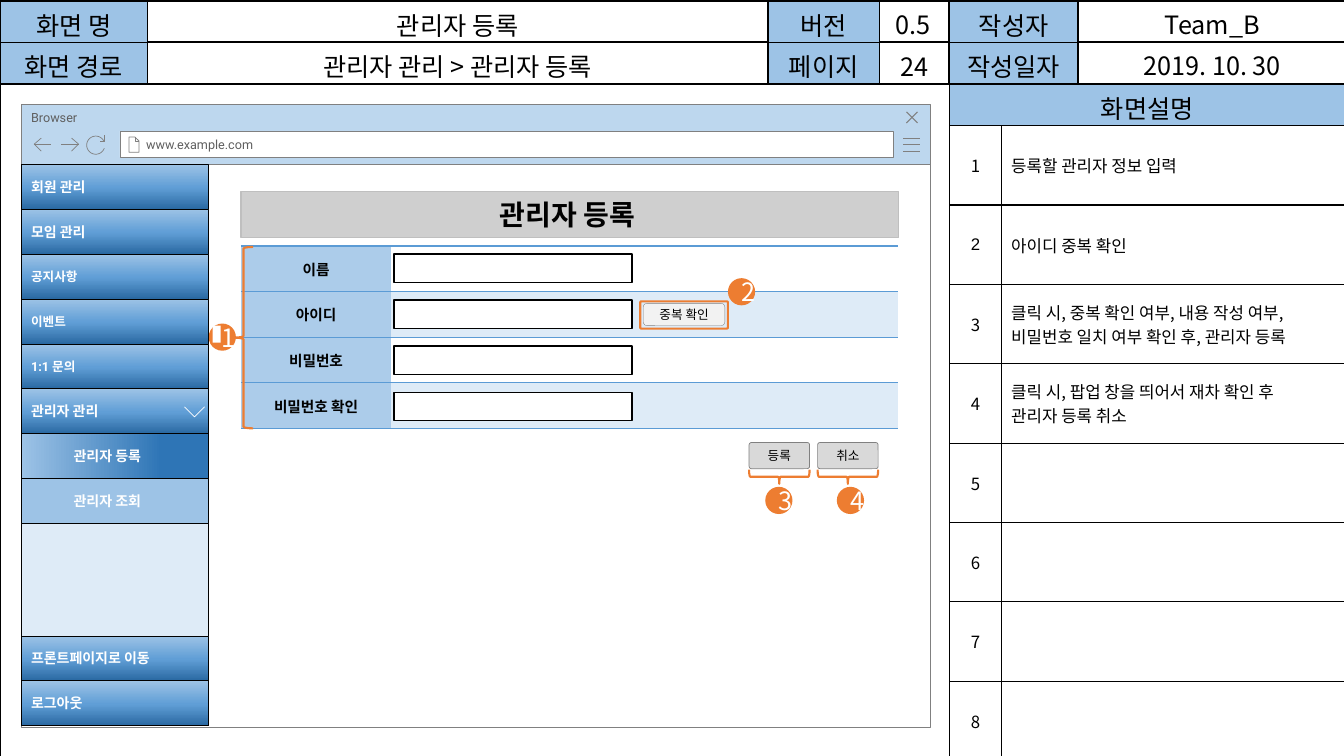
from dataclasses import dataclass
from math import cos, radians, sin

from lxml.etree import SubElement
from pptx import Presentation
from pptx.dml.color import RGBColor
from pptx.enum.shapes import MSO_SHAPE as SHAPE
from pptx.enum.text import MSO_ANCHOR as ANCHOR, PP_ALIGN as ALIGN
from pptx.oxml.ns import qn
from pptx.util import Inches, Pt


@dataclass(frozen=True)
class Theme:
    black: str = "000000"
    white: str = "FFFFFF"
    header: str = "9DC3E6"
    chrome: str = "BDD7EE"
    pale: str = "DEEBF7"
    label: str = "ACCCEA"
    rule: str = "5B9BD5"
    gray: str = "808080"
    chrome_text: str = "5F5F5F"
    banner: str = "CFCFCF"
    banner_line: str = "BFBFBF"
    button: str = "D9D9D9"
    check: str = "F2F2F2"
    accent: str = "ED7D31"
    menu: tuple = ((0, "2A69A2"), (48, "609ED6"), (100, "9DC3E6"))
    selected: tuple = ((0, "2E75B6"), (25, "2E75B6"), (100, "9DC3E6"))
    korean: str = "Noto Sans CJK KR"
    ui: str = "Roboto"
    plain: str = "Arial"
    title: float = 20
    head: float = 18
    body: float = 12
    field: float = 10.5
    item: float = 10
    small: float = 9


T = Theme()


def write(tf, text, size, font=T.korean, color=T.black, bold=False, align=ALIGN.CENTER):
    for i, line in enumerate(text.split("\n")):
        p = tf.add_paragraph() if i else tf.paragraphs[0]
        p.alignment = align
        r = p.add_run()
        r.text = line
        r.font.size, r.font.bold = Pt(size), bold
        r.font.color.rgb = RGBColor.from_string(color)
        r.font.name = font
        SubElement(r.font._element, qn("a:ea"), typeface=T.korean)


def paint(sp, fill, line, width):
    sp.shadow.inherit = False
    if fill:
        sp.fill.solid()
        sp.fill.fore_color.rgb = RGBColor.from_string(fill)
    else:
        sp.fill.background()
    if line:
        sp.line.color.rgb = RGBColor.from_string(line)
        sp.line.width = Pt(width)
    else:
        sp.line.fill.background()


def add_box(slide, x, y, w, h, fill=None, line=None, width=0.5, kind=SHAPE.RECTANGLE, adj=None):
    sp = slide.shapes.add_shape(kind, Inches(x), Inches(y), Inches(w), Inches(h))
    paint(sp, fill, line, width)
    if adj is not None:
        sp.adjustments[0] = adj
    return sp


def label(sp, text, size, left=0.1, right=0.1, anchor=ANCHOR.MIDDLE, **style):
    tf = sp.text_frame
    tf.word_wrap, tf.vertical_anchor = True, anchor
    tf.margin_left, tf.margin_right = Inches(left), Inches(right)
    write(tf, text, size, **style)


def add_strokes(slide, x, y, *strokes, color=T.gray, width=0.5):
    """Draw open polylines whose points are relative to (x, y)."""
    lines = [[(Inches(x + dx), Inches(y + dy)) for dx, dy in s] for s in strokes]
    builder = slide.shapes.build_freeform(*lines[0][0])
    for i, points in enumerate(lines):
        if i:
            builder.move_to(*points[0])
        builder.add_line_segments(points[1:], close=False)
    paint(builder.convert_to_shape(), None, color, width)


def set_gradient(sp, stops, angle):
    sp.fill.gradient()
    sp.fill.gradient_angle = angle
    stop_list = sp._element.spPr.find(qn("a:gradFill")).find(qn("a:gsLst"))
    for old in list(stop_list):
        stop_list.remove(old)
    for pos, color in stops:
        stop = SubElement(stop_list, qn("a:gs"), pos=str(pos * 1000))
        SubElement(stop, qn("a:srgbClr"), val=color)


def add_grid(slide, x, y, cols, rows, color, sides):
    """Add an unstyled table with ruled cell sides."""
    frame = slide.shapes.add_table(len(rows), len(cols), Inches(x), Inches(y),
                                   Inches(sum(cols)), Inches(sum(rows)))
    table = frame.table
    table.first_row = table.horz_banding = False
    table._tbl.tblPr.find(qn("a:tableStyleId")).text = "{2D5ABB26-0587-4C30-8999-92F81FD0307C}"
    for col, w in zip(table.columns, cols):
        col.width = Inches(w)
    for row, h in zip(table.rows, rows):
        row.height = Inches(h)
    for cell in table.iter_cells():
        cell.fill.background()
        cell.margin_top = cell.margin_bottom = 0
        cell.vertical_anchor = ANCHOR.MIDDLE
        tc_pr = cell._tc.get_or_add_tcPr()
        for side in sides:
            ln = SubElement(tc_pr, qn(f"a:ln{side}"), w=str(Pt(1)))
            SubElement(SubElement(ln, qn("a:solidFill")), qn("a:srgbClr"), val=color)
        tc_pr.append(tc_pr.find(qn("a:noFill")))
    return table


def fill_cell(cell, color):
    cell.fill.solid()
    cell.fill.fore_color.rgb = RGBColor.from_string(color)


def write_heads(table, heads):
    """Fill the top rows; even columns up to the fifth hold captions."""
    for i, texts in enumerate(heads):
        for j, text in enumerate(texts):
            cell = table.cell(i, j)
            cell.margin_top = Inches(0.05)
            if text:
                write(cell.text_frame, text, T.head)
            if j in (0, 2, 4):
                fill_cell(cell, T.header)


def add_header(slide, x, y):
    table = add_grid(slide, x, y, [1.46, 6.16, 1.1, 0.7, 1.29, 2.65], [0.4, 0.4], T.black, "LRTB")
    write_heads(table, [["화면 명", "", "버전", "0.5", "작성자", "Team_B"],
                        ["화면 경로", "", "페이지", "", "작성일자", "2019. 10. 30"]])


def add_spec_sheet(slide, x, y, h):
    cols = [1.46, 6.16, 1.1, 0.7, 0.51, 0.76, 2.65]
    notes = ["등록할 관리자 정보 입력", "아이디 중복 확인",
             "클릭 시, 중복 확인 여부, 내용 작성 여부,\n비밀번호 일치 여부 확인 후, 관리자 등록",
             "클릭 시, 팝업 창을 띄어서 재차 확인 후\n관리자 등록 취소", "", "", "", ""]
    rows = [0.4] * 3 + [(h - 1.2) / len(notes)] * len(notes)
    table = add_grid(slide, x, y, cols, rows, T.black, "LRTB")
    for i in range(2):
        table.cell(i, 4).merge(table.cell(i, 5))
    table.cell(2, 0).merge(table.cell(10, 3))
    table.cell(2, 4).merge(table.cell(2, 6))
    write_heads(table, [["화면 명", "관리자 등록", "버전", "", "작성자"],
                        ["화면 경로", "관리자 관리 > 관리자 등록", "페이지", "24", "작성일자"],
                        ["", "", "", "", "화면설명"]])
    table.cell(2, 0).fill.background()
    for i, note in enumerate(notes, 1):
        number, cell = table.cell(i + 2, 4), table.cell(i + 2, 5)
        cell.merge(table.cell(i + 2, 6))
        write(number.text_frame, str(i), T.body, font=T.plain if i == 2 else T.korean)
        if note:
            write(cell.text_frame, note, T.body, font=T.plain if i < 3 else T.korean, align=ALIGN.LEFT)


def add_browser(slide, x, y, w, h):
    style = dict(font=T.ui, color=T.chrome_text, align=ALIGN.LEFT)
    add_box(slide, x, y + 0.58, w, h - 0.58, T.white, T.gray)
    bar = add_box(slide, x, y, w, 0.59, T.chrome, T.gray)
    label(bar, "Browser", T.small, right=0.25, anchor=ANCHOR.TOP, **style)
    address = add_box(slide, x + 0.98, y + 0.26, w - 1.35, 0.26, T.white, T.gray)
    label(address, "www.example.com", T.small, left=0.26, **style)
    add_strokes(slide, x + w - 0.27, y + 0.33, *[[(0, d), (0.17, d)] for d in (0, 0.06, 0.13)])
    add_strokes(slide, x + w - 0.24, y + 0.07, [(0.11, 0), (0, 0.11)], [(0, 0), (0.11, 0.11)], width=0.75)
    add_strokes(slide, x + 1.07, y + 0.32, [(0.06, 0), (0.06, 0.04), (0.1, 0.04)],
                [(0, 0), (0, 0.15), (0.1, 0.15), (0.1, 0.04), (0.06, 0), (0, 0)])
    add_strokes(slide, x + 0.13, y + 0.33, [(0.07, 0.13), (0, 0.06), (0.07, 0)], [(0, 0.06), (0.17, 0.06)])
    add_strokes(slide, x + 0.4, y + 0.33, [(0.1, 0), (0.17, 0.06), (0.1, 0.13)], [(0, 0.06), (0.17, 0.06)])
    arc = [(0.08 + 0.09 * cos(radians(a)), 0.1 + 0.09 * sin(radians(a))) for a in range(20, 331, 10)]
    add_strokes(slide, x + 0.66, y + 0.3, [(0.17, 0), (0.17, 0.06), (0.12, 0.06)], arc + [(0.17, 0.06)])


def add_form(slide, x, y, w):
    banner = add_box(slide, x, y, w, 0.46, T.banner, T.banner_line, 1)
    label(banner, "관리자 등록", T.title, left=0.05, font=T.ui, bold=True)
    top, row = y + 0.54, 0.453
    fields = ["이름", "아이디", "비밀번호", "비밀번호 확인"]
    table = add_grid(slide, x, top, [1.49, w - 1.49], [row] * len(fields), T.rule, "TB")
    for i, field in enumerate(fields):
        write(table.cell(i, 0).text_frame, field, T.field, bold=True)
        fill_cell(table.cell(i, 0), T.label)
        if i % 2:
            fill_cell(table.cell(i, 1), T.pale)
        add_box(slide, x + 1.52, top + 0.08 + i * 0.457, 2.36, 0.28, T.white, T.black, 1)
    check = add_box(slide, x + 3.99, top + 0.57, 0.81, 0.22, T.check, T.gray, 0.25, SHAPE.ROUNDED_RECTANGLE)
    label(check, "중복 확인", T.small, font=T.ui)
    add_box(slide, x - 0.07, top + 0.01, 0.19, 1.8, None, T.accent, 1.5, SHAPE.LEFT_BRACE)
    add_box(slide, x + 3.96, top + 0.55, 0.87, 0.27, None, T.accent, 1.5, SHAPE.ROUNDED_RECTANGLE, 0.04)
    add_badge(slide, x - 0.32, top + 0.77, 1)
    add_badge(slide, x + 4.83, top + 0.32, 2)
    for i, text in enumerate(["등록", "취소"]):
        left = x + 5.04 + i * 0.68
        button = add_box(slide, left, top + 1.95, 0.6, 0.26, T.button, T.gray,
                         kind=SHAPE.ROUNDED_RECTANGLE, adj=0.09)
        label(button, text, T.small, font=T.ui)
        brace = add_box(slide, left + 0.23, top + 1.99, 0.14, 0.6, None, T.accent, 1.5, SHAPE.LEFT_BRACE)
        brace.rotation = 270
        add_badge(slide, x + 5.2 + i * 0.71, top + 2.39, 3 + i)


def add_badge(slide, x, y, number):
    badge = add_box(slide, x, y, 0.27, 0.27, T.accent, kind=SHAPE.OVAL)
    label(badge, str(number), T.head, color=T.white)


def add_sidebar(slide, x, y, w, h):
    add_box(slide, x + 1.9, y + 1.6, 0.08, 0.17, T.white)
    add_box(slide, x, y, w, h, T.pale, T.black)
    step = h / 12.5
    menu = [("회원 관리", T.item), ("모임 관리", T.item), ("공지사항", T.small), ("이벤트", T.small),
            ("1:1 문의", T.small), ("관리자 관리", T.item)]
    tops = [y + i * step for i in range(len(menu))] + [y + h - 2 * step, y + h - step]
    for (text, size), top in zip(menu + [("프론트페이지로 이동", T.item), ("로그아웃", T.item)], tops):
        item = add_box(slide, x, top, w, step, T.header, T.black)
        set_gradient(item, T.menu, 90)
        label(item, text, size, right=0.25, font=T.ui, color=T.white, bold=True, align=ALIGN.LEFT)
    add_strokes(slide, x + w - 0.24, y + 5.4 * step, [(0, 0), (0.1, 0.1), (0.2, 0)], color=T.white)
    for i, text in enumerate(["관리자 등록", "관리자 조회"]):
        item = add_box(slide, x, y + (len(menu) + i) * step, w, step, T.header, T.black)
        if i == 0:
            set_gradient(item, T.selected, 180)
        label(item, text, T.item, right=0.25, font=T.ui, color=T.white, bold=True)


def main():
    prs = Presentation()
    prs.slide_width, prs.slide_height = Inches(13.33), Inches(7.5)
    slide = prs.slides.add_slide(prs.slide_layouts[6])
    add_header(slide, -0.01, 0)
    add_browser(slide, 0.21, 1.04, 9.02, 6.18)
    add_spec_sheet(slide, 0, 0.01, 7.5)
    add_form(slide, 2.39, 1.9, 6.52)
    add_sidebar(slide, 0.21, 1.63, 1.86, 5.57)
    prs.save("out.pptx")


if __name__ == "__main__":
    main()
